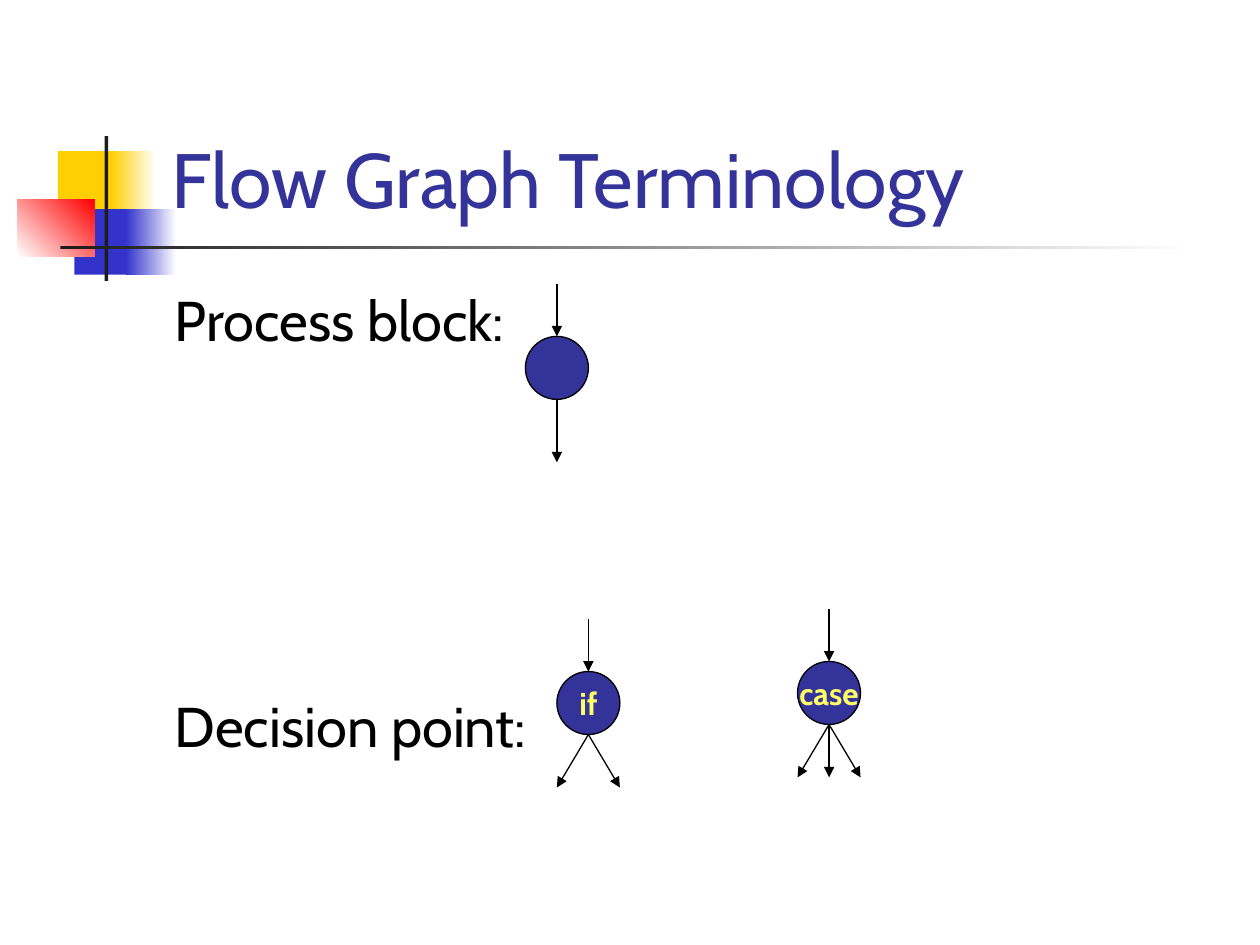
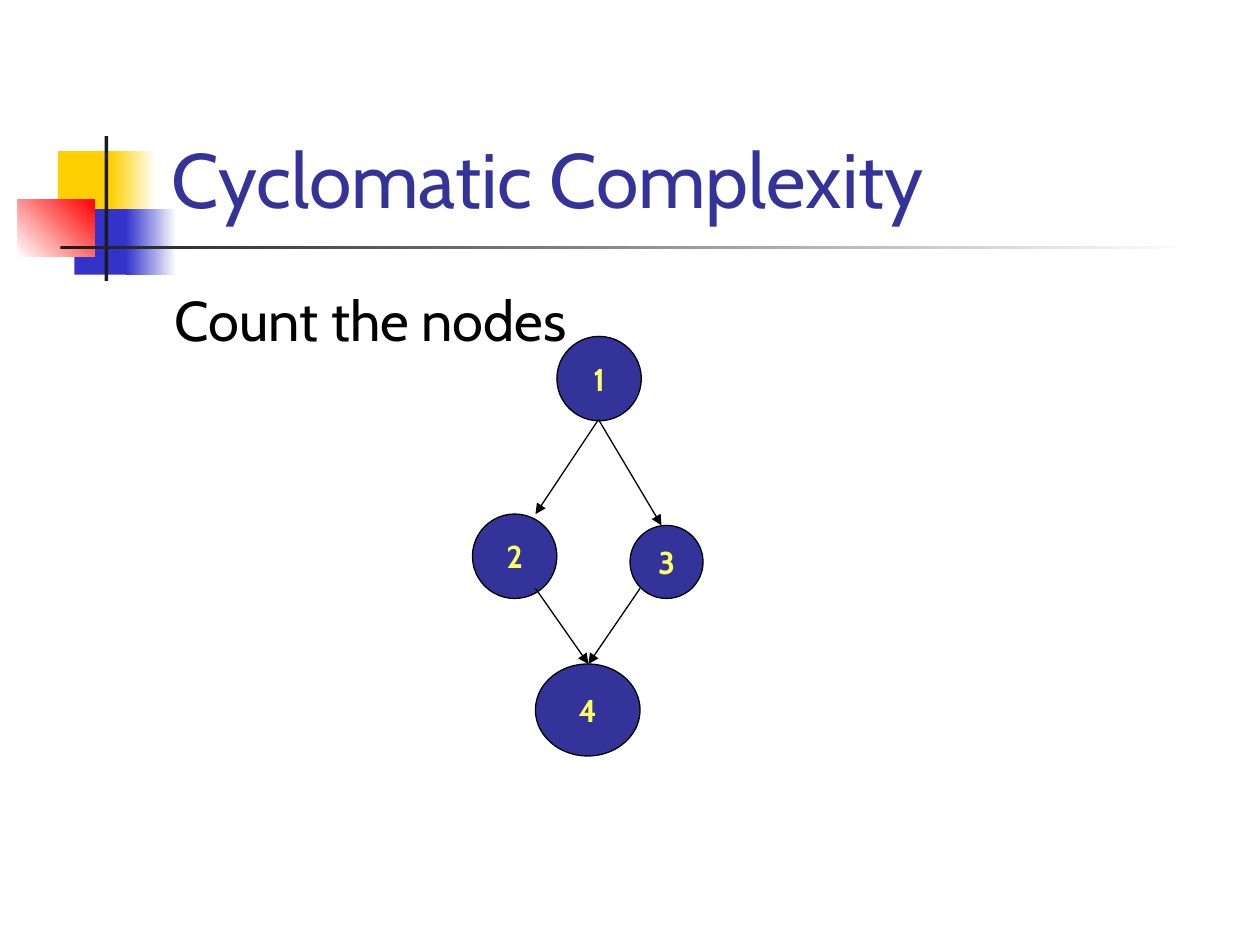
from dataclasses import dataclass

import lxml.etree
import pptx
import pptx.dml.color
import pptx.enum.shapes
import pptx.enum.text
import pptx.oxml.ns
import pptx.util

Inches = pptx.util.Inches
Pt = pptx.util.Pt
qn = pptx.oxml.ns.qn
SHAPE = pptx.enum.shapes.MSO_SHAPE
ALIGN = pptx.enum.text.PP_ALIGN
ANCHOR = pptx.enum.text.MSO_ANCHOR
NO_FIT = pptx.enum.text.MSO_AUTO_SIZE.NONE


@dataclass(frozen=True)
class Theme:
    font: str = "Cabin"
    navy: str = "333399"
    black: str = "000000"
    white: str = "FFFFFF"
    label: str = "FFFF66"
    yellow: str = "FFCF01"
    blue: str = "3333CC"
    red: str = "FF0000"
    rule: str = "1C1C1C"
    title_size: int = 44
    body_size: int = 32
    label_size: int = 18
    line_width: float = 0.75


THEME = Theme()

BAND = (
    ((0.46, 1.2, 0.48, 0.52), (THEME.yellow,), 0),
    ((0.88, 1.2, 0.36, 0.52), (THEME.yellow, THEME.white), 0),
    ((0.59, 1.66, 0.46, 0.52), (THEME.blue,), 0),
    ((1, 1.66, 0.4, 0.52), (THEME.blue, THEME.white), 0),
    ((0.14, 1.58, 0.61, 0.46), (THEME.white, THEME.red), 45),
    ((0.83, 1.08, 0.03, 1.15), (THEME.rule,), 0),
    ((0.48, 1.95, 9, 0.03), (THEME.rule, THEME.white), 0),
)


def rgb(color):
    return pptx.dml.color.RGBColor.from_string(color)


def set_all(target, **formats):
    for name, value in formats.items():
        setattr(target, name, value)


def write(tf, text, size, color, align=ALIGN.LEFT, bold=False):
    p = tf.paragraphs[0]
    p.alignment = align
    r = p.add_run()
    r.text = text
    set_all(r.font, name=THEME.font, size=Pt(size), bold=bold)
    r.font.color.rgb = rgb(color)


def add_band(s):
    for box, colors, angle in BAND:
        sp = s.shapes.add_shape(SHAPE.RECTANGLE, *map(Inches, box))
        sp.shadow.inherit = False
        sp.line.fill.background()
        if len(colors) == 1:
            sp.fill.solid()
            sp.fill.fore_color.rgb = rgb(colors[0])
        else:
            sp.fill.gradient()
            sp.fill.gradient_angle = angle
            for stop, color in zip(sp.fill.gradient_stops, colors):
                stop.color.rgb = rgb(color)


def add_slide(prs, title):
    s = prs.slides.add_slide(prs.slide_layouts[5])
    add_band(s)
    sp = s.shapes.title
    set_all(sp, left=Inches(1.26), top=Inches(0.23),
            width=Inches(8.52), height=Inches(1.6))
    set_all(sp.text_frame, word_wrap=True, auto_size=NO_FIT,
            vertical_anchor=ANCHOR.BOTTOM)
    write(sp.text_frame, title, THEME.title_size, THEME.navy)
    return s


def add_heading(s, text, top):
    sp = s.shapes.add_textbox(Inches(1.29), Inches(top), Inches(3.5), Inches(0.64))
    sp.text_frame.word_wrap = True
    write(sp.text_frame, text, THEME.body_size, THEME.black)


def add_node(shapes, left, top, width, height, label=""):
    sp = shapes.add_shape(SHAPE.OVAL, *map(Inches, (left, top, width, height)))
    sp.shadow.inherit = False
    sp.fill.solid()
    sp.fill.fore_color.rgb = rgb(THEME.navy)
    sp.line.color.rgb = rgb(THEME.black)
    sp.line.width = Pt(THEME.line_width)
    if label:
        set_all(sp.text_frame, word_wrap=False, vertical_anchor=ANCHOR.MIDDLE)
        write(sp.text_frame, label, THEME.label_size, THEME.label,
              ALIGN.CENTER, bold=True)


def add_arrow(shapes, start, end):
    line = shapes.add_connector(pptx.enum.shapes.MSO_CONNECTOR.STRAIGHT,
                                *map(Inches, (*start, *end)))
    line.line.color.rgb = rgb(THEME.black)
    line.line.width = Pt(THEME.line_width)
    properties = line.element.spPr
    outline = properties.find(qn("a:ln"))
    lxml.etree.SubElement(outline, qn("a:tailEnd"), type="triangle")
    lxml.etree.SubElement(properties, qn("a:effectLst"))


def add_flow_symbol(s, x, top, exits, drop=0.42, label=""):
    size, entry = 0.5, 0.42
    shapes = s.shapes.add_group_shape().shapes
    add_node(shapes, x - size / 2, top, size, size, label)
    add_arrow(shapes, (x, top - entry), (x, top))
    bottom = top + size
    for offset in exits:
        add_arrow(shapes, (x, bottom), (x + offset, bottom + drop))


def build_terminology(prs):
    s = add_slide(prs, "Flow Graph Terminology")
    add_heading(s, "Process block:", 2.22)
    add_heading(s, "Decision point:", 5.44)
    add_flow_symbol(s, 4.42, 2.67, (0,), drop=0.5)
    add_flow_symbol(s, 4.67, 5.33, (0.25, -0.25), label="if")
    add_flow_symbol(s, 6.58, 5.25, (0.25, -0.25, 0), label="case")


def build_complexity(prs):
    s = add_slide(prs, "Cyclomatic Complexity")
    add_heading(s, "Count the nodes", 2.22)
    nodes = {
        "1": (4.42, 2.67, 0.67, 0.67),
        "2": (3.75, 4.08, 0.67, 0.67),
        "3": (5, 4.17, 0.58, 0.58),
        "4": (4.25, 5.27, 0.83, 0.73),
    }
    for label, box in nodes.items():
        add_node(s.shapes, *box, label)
    fork, join = (4.75, 3.33), (4.67, 5.27)
    for end in ((4.25, 4.08), (5.25, 4.17)):
        add_arrow(s.shapes, fork, end)
    for start in ((4.25, 4.67), (5.08, 4.67)):
        add_arrow(s.shapes, start, join)


def main():
    prs = pptx.Presentation()
    set_all(prs, slide_width=Inches(10), slide_height=Inches(7.5))
    build_terminology(prs)
    build_complexity(prs)
    prs.save("out.pptx")


if __name__ == "__main__":
    main()
